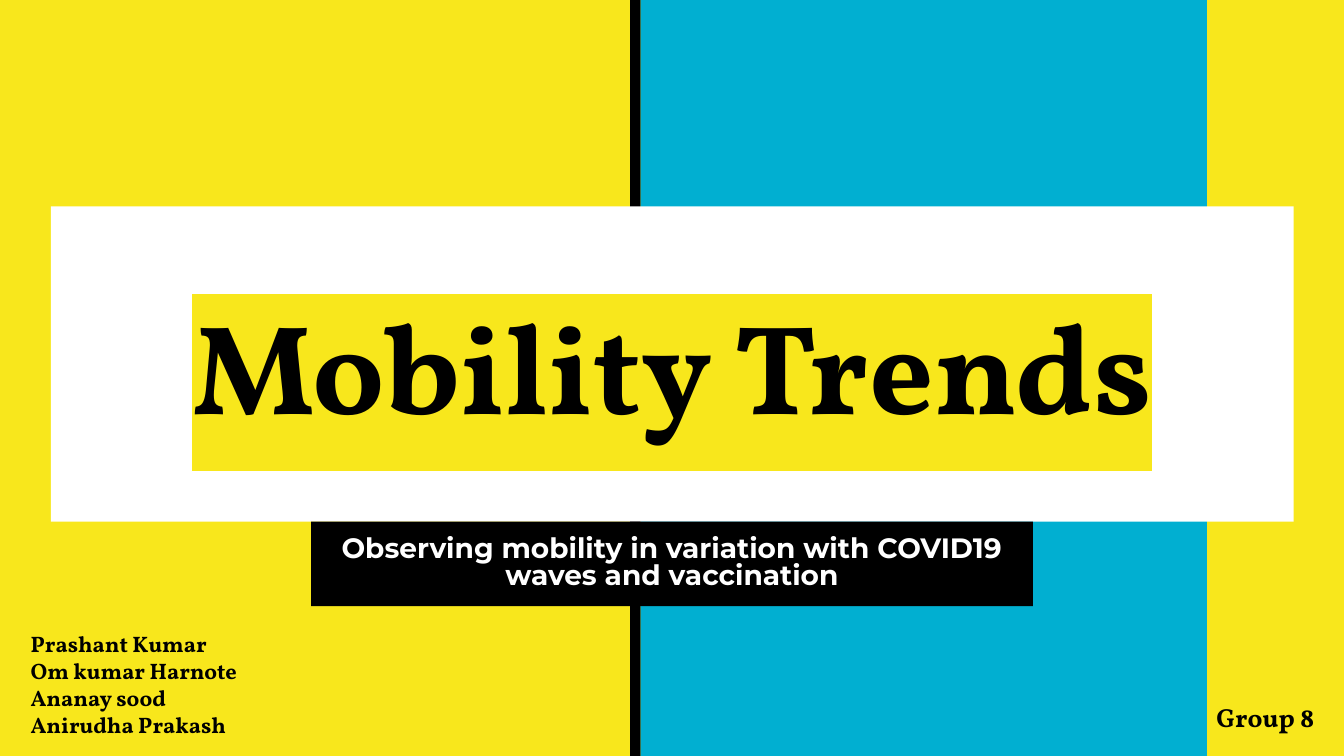
from lxml.etree import SubElement
from pptx import Presentation
from pptx.dml.color import RGBColor
from pptx.enum.shapes import MSO_SHAPE as Shape
from pptx.enum.text import MSO_ANCHOR as Anchor, MSO_AUTO_SIZE as AutoSize, PP_ALIGN as Align
from pptx.oxml.ns import qn
from pptx.util import Cm, Pt

TITLE = "Mobility Trends"
SUBTITLE = "Observing mobility in variation with COVID19 waves and vaccination"
AUTHORS = ["Prashant Kumar", "Om kumar Harnote", "Ananay sood", "Anirudha Prakash"]
GROUP = "Group 8"

COLORS = {"yellow": "F8E71C", "blue": "01AFD1", "black": "000000", "white": "FFFFFF"}
SERIF, SANS = "Vollkorn", "Montserrat"
WIDTH, HEIGHT = 25.4, 14.29
INSET = 0.25

# Left edge, width and colour of each full-height band, in cm
BANDS = [(11.91, 0.2, "black"), (12.11, 10.7, "blue")]


def color(name):
    return RGBColor.from_string(COLORS[name])


def paint(target, name):
    target.fill.solid()
    target.fill.fore_color.rgb = color(name)


def place(shape, left, top, width, height):
    shape.left, shape.top = Cm(left), Cm(top)
    shape.width, shape.height = Cm(width), Cm(height)


def add_band(slide, left, width, fill):
    """Add a full-height band behind the placeholders."""
    band = slide.shapes.add_shape(Shape.RECTANGLE, Cm(left), 0, Cm(width), Cm(HEIGHT))
    band.shadow.inherit = False
    paint(band, fill)
    band.line.fill.background()
    first_placeholder = slide.shapes.title._element
    first_placeholder.addprevious(band._element)


def highlight(run, name):
    mark = SubElement(run._r.get_or_add_rPr(), qn("a:highlight"))
    SubElement(mark, qn("a:srgbClr"), val=COLORS[name])


def write(shape, lines, size, font=SERIF, ink="black", marker=None,
          align=Align.LEFT, anchor=Anchor.TOP, spacing=1.0):
    frame = shape.text_frame
    frame.word_wrap = True
    frame.auto_size = AutoSize.NONE
    frame.vertical_anchor = anchor
    frame.margin_left = frame.margin_right = Cm(INSET)
    frame.margin_top = frame.margin_bottom = Cm(INSET)
    for index, line in enumerate(lines):
        paragraph = frame.add_paragraph() if index else frame.paragraphs[0]
        paragraph.alignment = align
        paragraph.line_spacing = spacing
        paragraph.space_before = Pt(0)
        run = paragraph.add_run()
        run.text = line
        run.font.size, run.font.bold = Pt(size), True
        run.font.color.rgb = color(ink)
        if marker:
            highlight(run, marker)
        run.font.name = font


def add_note(slide, box, lines, size):
    note = slide.shapes.add_textbox(*map(Cm, box))
    write(note, lines, size)


def main():
    presentation = Presentation()
    presentation.slide_width, presentation.slide_height = Cm(WIDTH), Cm(HEIGHT)
    slide = presentation.slides.add_slide(presentation.slide_layouts[0])
    paint(slide.background, "yellow")
    for band in BANDS:
        add_band(slide, *band)

    title, subtitle = slide.shapes.title, slide.placeholders[1]
    centred = {"align": Align.CENTER, "anchor": Anchor.MIDDLE}
    place(title, 0.96, 3.9, 23.49, 5.96)
    paint(title, "white")
    write(title, [TITLE], 68, marker="yellow", **centred)
    place(subtitle, 5.88, 9.86, 13.64, 1.6)
    paint(subtitle, "black")
    write(subtitle, [SUBTITLE], 15, font=SANS, ink="white", spacing=0.8, **centred)

    add_note(slide, (0.33, 11.66, 5.84, 3.18), AUTHORS, 12)
    add_note(slide, (22.74, 13, 4.17, 1.12), [GROUP], 14)
    presentation.save("out.pptx")


if __name__ == "__main__":
    main()
